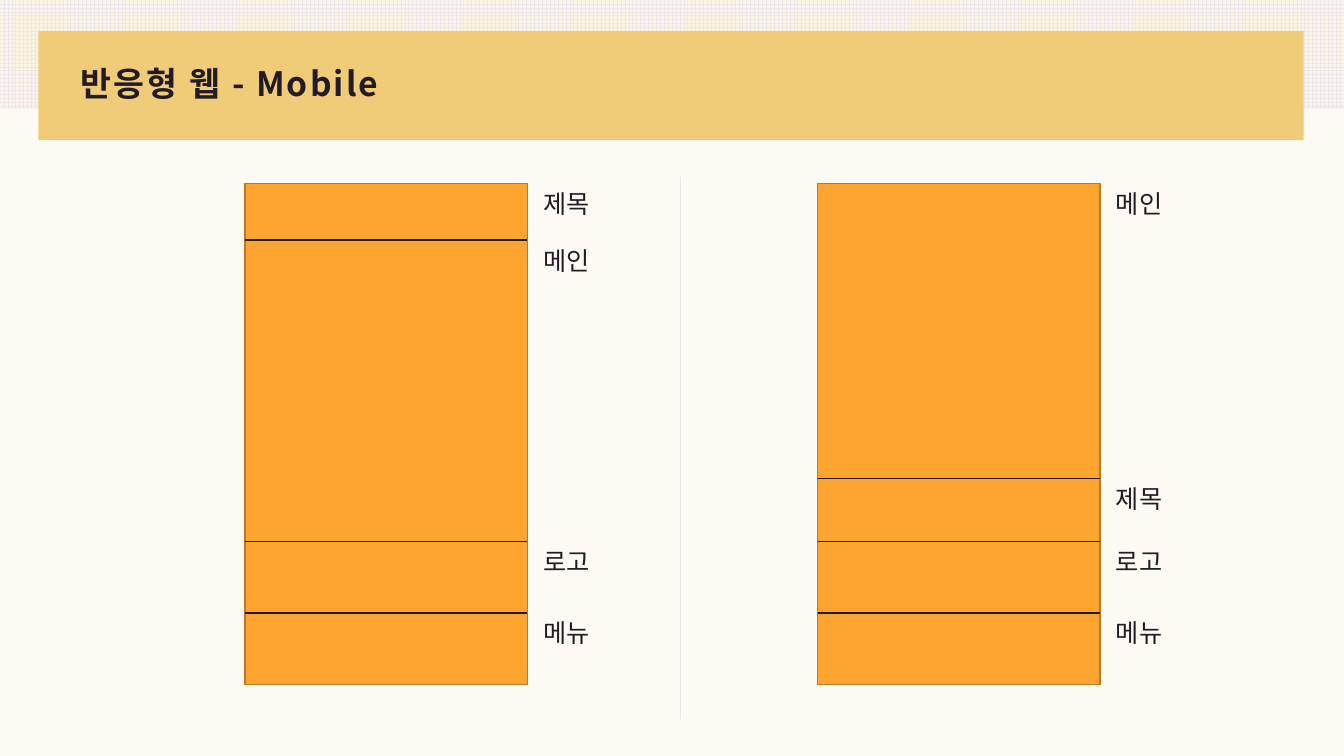
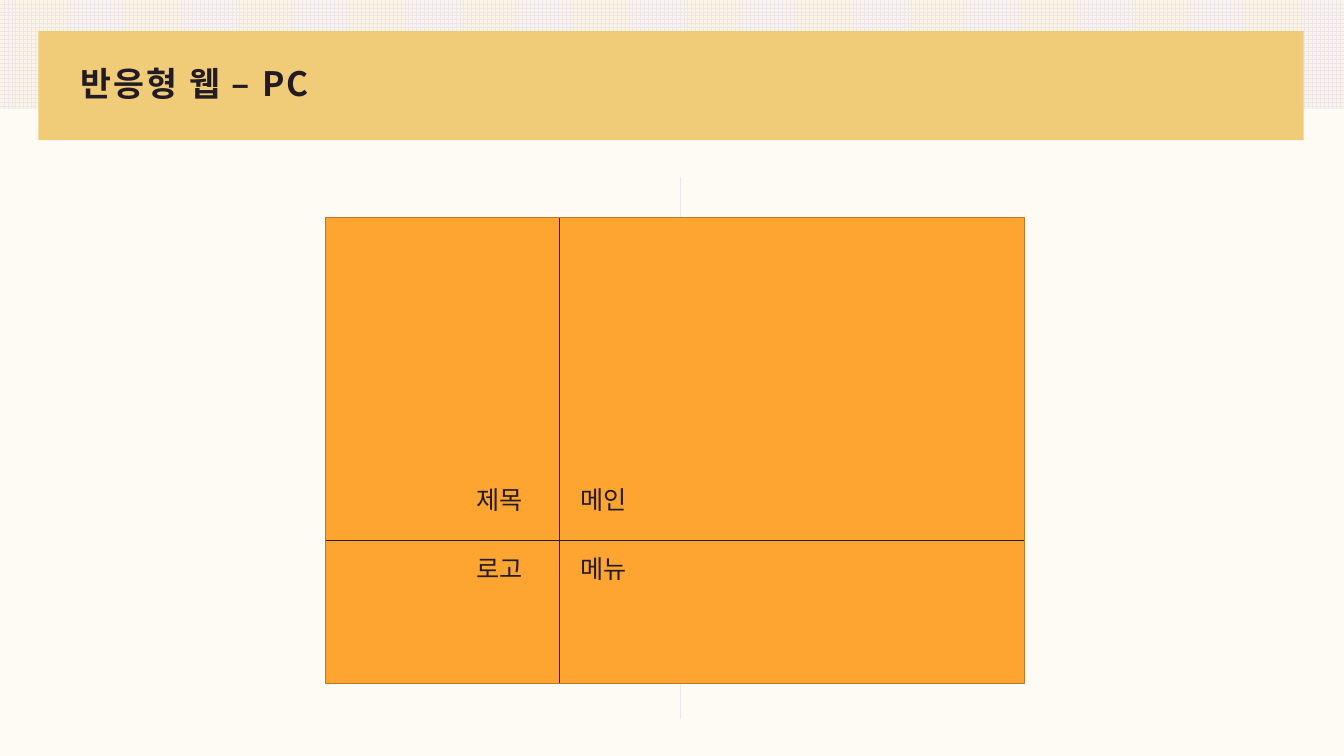
"""Build two slides that compare the mobile and PC layouts of a responsive web page."""
from lxml import etree
from pptx import Presentation
from pptx.dml.color import RGBColor
from pptx.enum.dml import MSO_PATTERN
from pptx.enum.shapes import MSO_CONNECTOR, MSO_SHAPE
from pptx.enum.text import MSO_ANCHOR, MSO_AUTO_SIZE
from pptx.oxml.ns import qn
from pptx.util import Inches, Pt

RECTANGLE = MSO_SHAPE.RECTANGLE
STRAIGHT = MSO_CONNECTOR.STRAIGHT
LARGE_GRID = MSO_PATTERN.LARGE_GRID
MIDDLE = MSO_ANCHOR.MIDDLE
TOP = MSO_ANCHOR.TOP
FIT_TEXT = MSO_AUTO_SIZE.SHAPE_TO_FIT_TEXT
NO_FIT = MSO_AUTO_SIZE.NONE

INK = RGBColor(0x23, 0x1B, 0x23)
PAPER = RGBColor(0xFE, 0xFB, 0xF5)
CREAM = RGBColor(0xFC, 0xF5, 0xE5)
LILAC = RGBColor(0xEB, 0xE6, 0xEB)
SAND = RGBColor(0xF0, 0xCC, 0x79)
ORANGE = RGBColor(0xFD, 0xA4, 0x31)
BROWN = RGBColor(0xBB, 0x79, 0x24)

TITLE_FONT = "Noto Sans CJK KR"
LABEL_FONT = "Noto Sans CJK JP"
SLIDE_WIDTH, SLIDE_HEIGHT = 13.33, 7.5
LABEL_WIDTH, LABEL_HEIGHT = 0.71, 0.4

MOBILE_TITLE = "반응형 웹 - Mobile"
PHONE_TOP, PHONE_WIDTH, PHONE_HEIGHT = 1.82, 2.8, 4.97
LABEL_GAP = 0.06
PHONES = [
    (2.43, [("제목", PHONE_TOP), ("메인", 2.38), ("로고", 5.37), ("메뉴", 6.08)]),
    (8.11, [("메인", PHONE_TOP), ("제목", 4.75), ("로고", 5.37), ("메뉴", 6.08)]),
]

PC_TITLE = "반응형 웹 – PC"
SCREEN = (3.23, 2.16, 6.93, 4.62)
SPLIT_X, SPLIT_Y = 5.55, 5.36
LABEL_COLUMNS = (4.63, 5.66)
LABEL_ROWS = (4.76, 5.44)
PC_LABELS = [["제목", "메인"], ["로고", "메뉴"]]


def add_text(slide, text, left, top, width, height, *, font=LABEL_FONT, size=18,
             bold=False, tracking=0, line_spacing=None, anchor=TOP, wrap=False):
    box = slide.shapes.add_textbox(*map(Inches, (left, top, width, height)))
    frame = box.text_frame
    frame.word_wrap = wrap
    frame.auto_size = NO_FIT if wrap else FIT_TEXT
    frame.vertical_anchor = anchor
    paragraph = frame.paragraphs[0]
    if line_spacing:
        paragraph.line_spacing = line_spacing
    run = paragraph.add_run()
    run.text = text
    run.font.name = font
    run.font.size = Pt(size)
    run.font.bold = bold
    run.font.color.rgb = INK
    properties = run.font._element
    if tracking:
        properties.set("spc", str(int(tracking * 100)))
    etree.SubElement(properties, qn("a:ea")).set("typeface", font)


def add_panel(slide, left, top, width, height, fill, border=None):
    panel = slide.shapes.add_shape(RECTANGLE, *map(Inches, (left, top, width, height)))
    panel.shadow.inherit = False
    panel.fill.solid()
    panel.fill.fore_color.rgb = fill
    if border is None:
        panel.line.fill.background()
    else:
        panel.line.color.rgb = border
        panel.line.width = Pt(1)
    return panel


def add_rule(slide, x1, y1, x2, y2, color=INK, weight=1):
    rule = slide.shapes.add_connector(STRAIGHT, *map(Inches, (x1, y1, x2, y2)))
    rule.line.color.rgb = color
    rule.line.width = Pt(weight)
    etree.SubElement(rule._element.spPr, qn("a:effectLst"))


def add_page(prs, title):
    slide = prs.slides.add_slide(prs.slide_layouts[6])
    grid = add_panel(slide, 0, 0, SLIDE_WIDTH, 1.08, CREAM)
    grid.fill.patterned()
    grid.fill.pattern = LARGE_GRID
    grid.fill.fore_color.rgb = LILAC
    grid.fill.back_color.rgb = CREAM
    add_panel(slide, 0.38, 0.31, 12.55, 1.08, SAND)
    add_rule(slide, 6.75, 1.76, 6.75, 7.13, LILAC, 0.5)
    add_text(slide, title, 0.7, 0.53, 11.93, 0.64, font=TITLE_FONT, size=24, bold=True,
             tracking=1.5, line_spacing=0.9, anchor=MIDDLE, wrap=True)
    return slide


def add_phone(slide, left, sections):
    right = left + PHONE_WIDTH
    add_panel(slide, left, PHONE_TOP, PHONE_WIDTH, PHONE_HEIGHT, ORANGE, BROWN)
    for label, top in sections:
        if top > PHONE_TOP:
            add_rule(slide, left, top, right, top)
        add_text(slide, label, right + LABEL_GAP, top, LABEL_WIDTH, LABEL_HEIGHT)


def add_screen(slide):
    left, top, width, height = SCREEN
    add_panel(slide, *SCREEN, ORANGE, BROWN)
    add_rule(slide, left, SPLIT_Y, left + width, SPLIT_Y)
    add_rule(slide, SPLIT_X, top, SPLIT_X, top + height)
    for label_top, labels in zip(LABEL_ROWS, PC_LABELS):
        for label_left, label in zip(LABEL_COLUMNS, labels):
            add_text(slide, label, label_left, label_top, LABEL_WIDTH, LABEL_HEIGHT)


def main():
    prs = Presentation()
    prs.slide_width, prs.slide_height = Inches(SLIDE_WIDTH), Inches(SLIDE_HEIGHT)
    backdrop = prs.slide_master.background.fill
    backdrop.solid()
    backdrop.fore_color.rgb = PAPER

    mobile = add_page(prs, MOBILE_TITLE)
    for left, sections in PHONES:
        add_phone(mobile, left, sections)
    add_screen(add_page(prs, PC_TITLE))
    prs.save("out.pptx")


if __name__ == "__main__":
    main()
